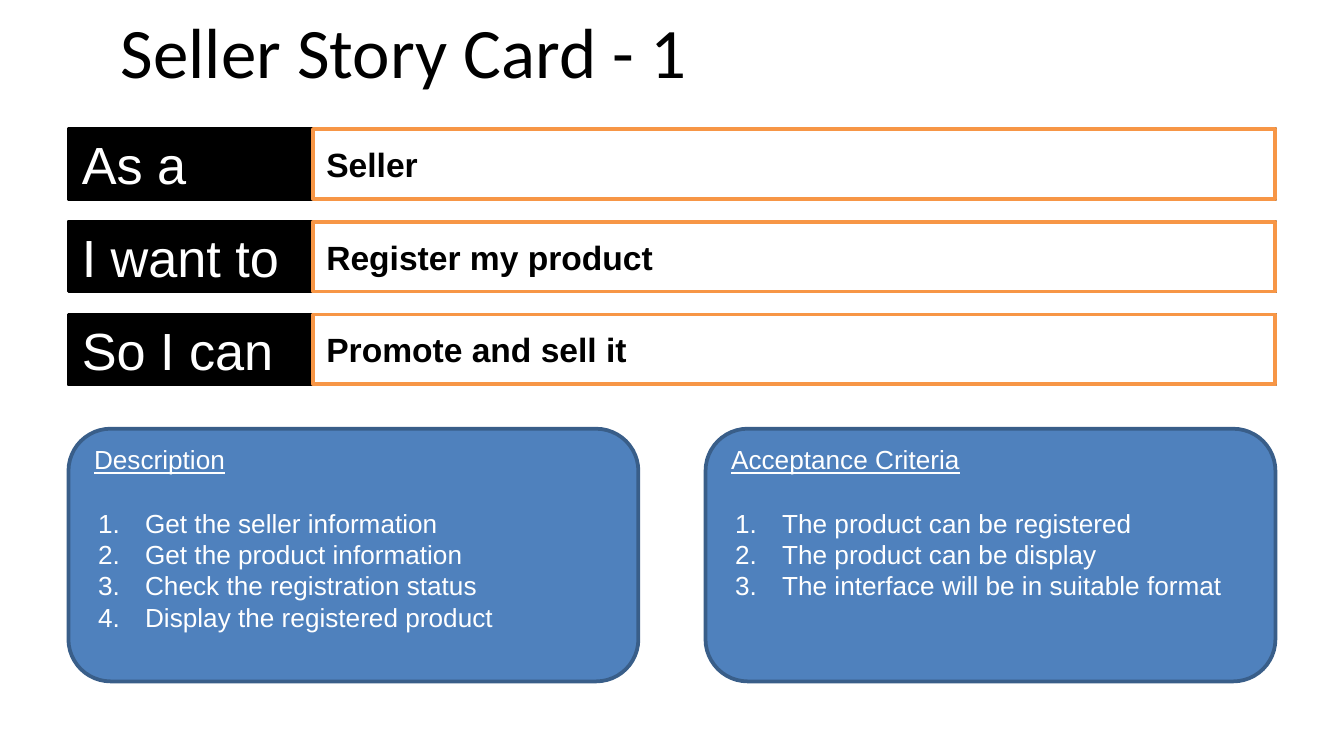
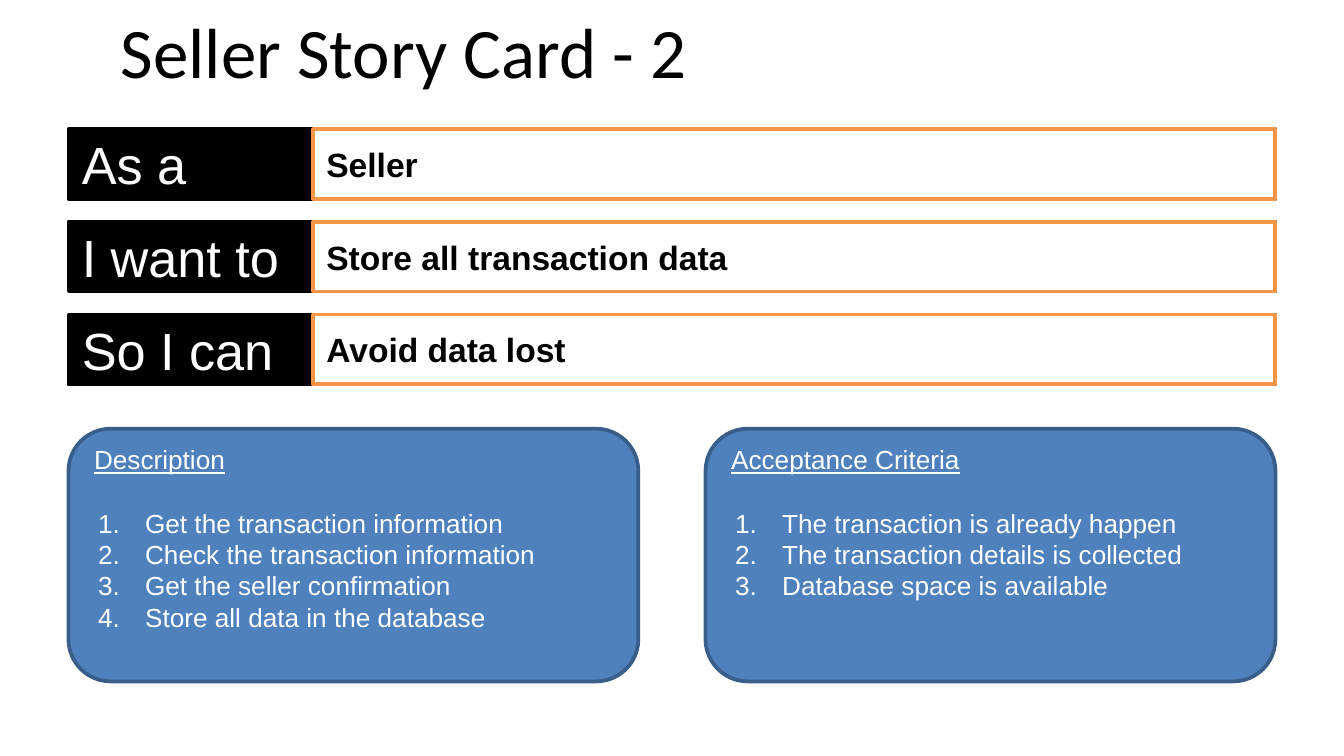
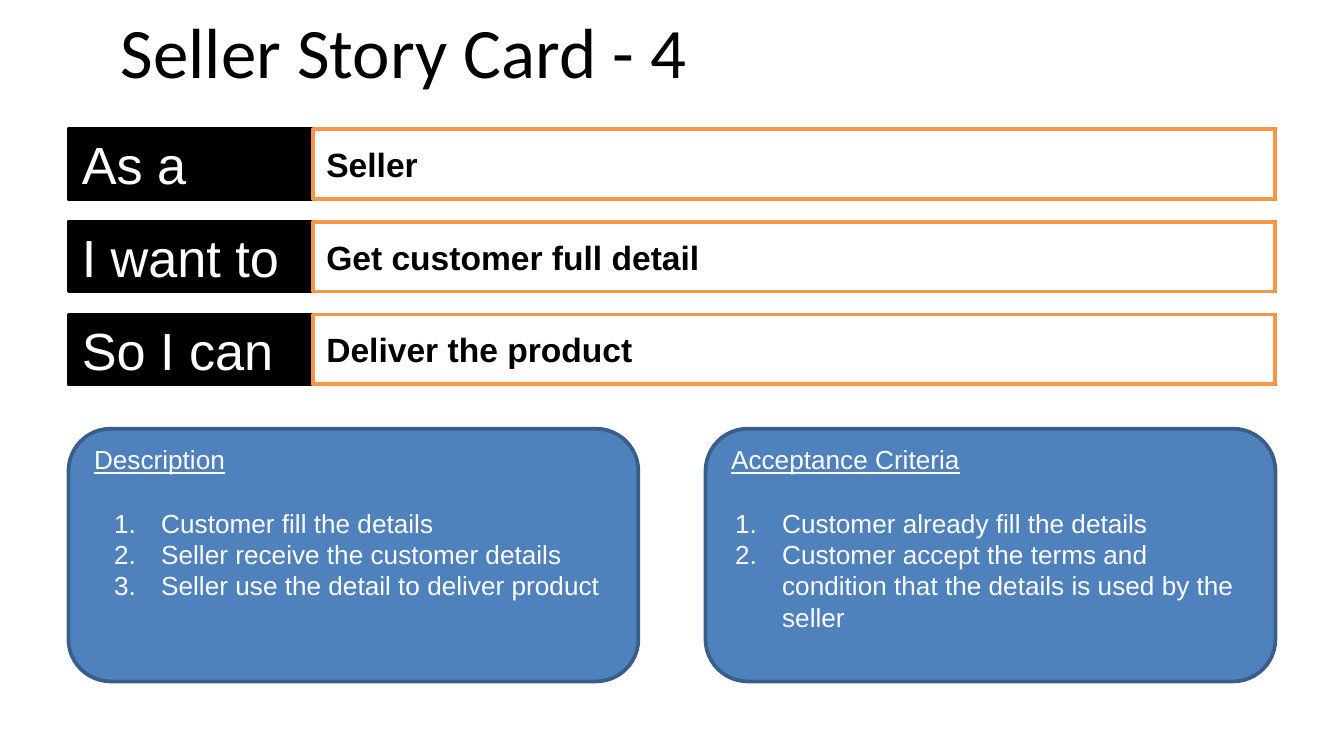
from pptx import Presentation
from pptx.dml.color import RGBColor
from pptx.enum.shapes import MSO_SHAPE
from pptx.enum.text import MSO_ANCHOR, PP_ALIGN
from pptx.oxml.xmlchemy import OxmlElement
from pptx.util import Inches, Pt

BLACK, WHITE, ORANGE = "000000", "FFFFFF", "F79646"
BLUE, NAVY = "4F81BD", "395E89"
LEFT, RIGHT = 0.51, 9.49
ROW_TOP, ROW_STEP, ROW_HIGH = 0.96, 0.69, 0.52
WISH_LEFT = 2.33
CARD_TOP, CARD_WIDE, CARD_HIGH = 3.19, 4.24, 1.88
LEADS = ("As a", "I want to", "So I can")

STORIES = [
    {
        "title": "Seller Story Card - 1",
        "wishes": ("Seller", "Register my product", "Promote and sell it"),
        "steps": ("Get the seller information", "Get the product information",
                  "Check the registration status", "Display the registered product"),
        "tests": ("The product can be registered", "The product can be display",
                  "The interface will be in suitable format"),
    },
    {
        "title": "Seller Story Card - 2",
        "wishes": ("Seller", "Store all transaction data", "Avoid data lost"),
        "steps": ("Get the transaction information", "Check the transaction information",
                  "Get the seller confirmation", "Store all data in the database"),
        "tests": ("The transaction is already happen", "The transaction details is collected",
                  "Database space is available"),
    },
    {
        "title": "Seller Story Card - 4",
        "wishes": ("Seller", "Get customer full detail", "Deliver the product"),
        "steps": ("Customer fill the details", "Seller receive the customer details",
                  "Seller use the detail to deliver product"),
        "tests": ("Customer already fill the details",
                  "Customer accept the terms and condition that the details "
                  "is used by the seller"),
        "indent": 0.5,
    },
]


def paint(hue):
    """Turn a hex string into a colour."""
    return RGBColor.from_string(hue)


def style(para, size, hue, face="Arial", bold=False, under=False):
    """Format the runs of a paragraph."""
    for run in para.runs:
        font = run.font
        font.name, font.size, font.bold, font.underline = face, Pt(size), bold, under
        font.color.rgb = paint(hue)


def number(para, indent):
    """Make a paragraph an item of a numbered list."""
    props = para._p.get_or_add_pPr()
    props.set("marL", str(Inches(indent)))
    props.set("indent", str(Inches(-0.35)))
    mark = OxmlElement("a:buAutoNum")
    mark.set("type", "arabicPeriod")
    props.append(mark)


def add_box(slide, kind, place, fill, line):
    """Add an outlined shape and return its text frame."""
    box = slide.shapes.add_shape(kind, *map(Inches, place))
    box.shadow.inherit = False
    box.fill.solid()
    box.fill.fore_color.rgb = paint(fill)
    box.line.color.rgb = paint(line)
    box.line.width = Pt(2)
    frame = box.text_frame
    frame.word_wrap = True
    frame.vertical_anchor = MSO_ANCHOR.MIDDLE
    return frame


def add_title(slide, text):
    """Add the slide title."""
    frame = slide.shapes.add_textbox(*map(Inches, (0.17, 0.11, 5.67, 0.52))).text_frame
    frame.word_wrap = True
    frame.vertical_anchor = MSO_ANCHOR.MIDDLE
    frame.text = text
    para = frame.paragraphs[0]
    para.alignment = PP_ALIGN.CENTER
    style(para, 38, BLACK, "Calibri")


def add_bar(slide, row, left, text, fill, line, size, hue, bold=False):
    """Add one bar of a story row that runs to the right margin."""
    place = left, ROW_TOP + row * ROW_STEP, RIGHT - left, ROW_HIGH
    frame = add_box(slide, MSO_SHAPE.RECTANGLE, place, fill, line)
    frame.text = text
    para = frame.paragraphs[0]
    para.alignment = PP_ALIGN.LEFT
    style(para, size, hue, bold=bold)


def add_card(slide, left, head, items, indent=0.38):
    """Add a rounded card with a heading and a numbered list."""
    place = left, CARD_TOP, CARD_WIDE, CARD_HIGH
    frame = add_box(slide, MSO_SHAPE.ROUNDED_RECTANGLE, place, BLUE, NAVY)
    frame.vertical_anchor = MSO_ANCHOR.TOP
    frame.margin_top = Inches(0.02)
    frame.text = "\n".join((head, *items))
    first, *rest = frame.paragraphs
    first.space_after = Pt(17)
    first.alignment = PP_ALIGN.LEFT
    style(first, 14, WHITE, under=True)
    for para in rest:
        para.alignment = PP_ALIGN.LEFT
        number(para, indent)
        style(para, 14, WHITE)


def add_story(deck, story):
    """Add the slide of one story."""
    slide = deck.slides.add_slide(deck.slide_layouts[6])
    add_title(slide, story["title"])
    for row, (lead, wish) in enumerate(zip(LEADS, story["wishes"])):
        add_bar(slide, row, LEFT, lead, BLACK, BLACK, 28, WHITE)
        add_bar(slide, row, WISH_LEFT, wish, WHITE, ORANGE, 18, BLACK, bold=True)
    add_card(slide, LEFT, "Description", story["steps"], story.get("indent", 0.38))
    add_card(slide, RIGHT - CARD_WIDE, "Acceptance Criteria", story["tests"])


def main():
    """Build the deck."""
    deck = Presentation()
    deck.slide_width = Inches(10)
    deck.slide_height = deck.slide_width * 9 // 16
    for story in STORIES:
        add_story(deck, story)
    deck.save("out.pptx")


if __name__ == "__main__":
    main()
